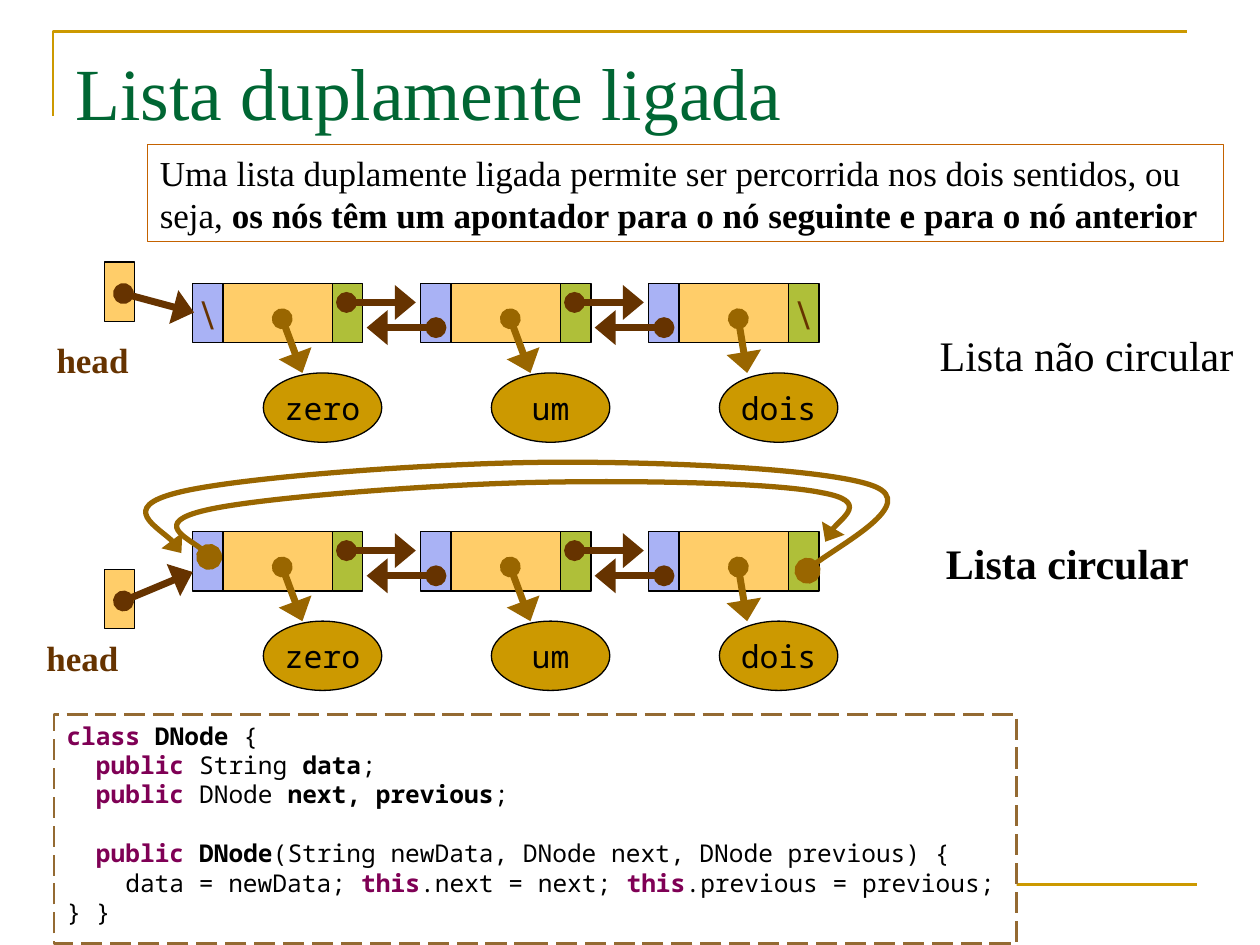
from pptx import Presentation
from pptx.dml.color import RGBColor
from pptx.enum.dml import MSO_LINE
from pptx.enum.shapes import MSO_CONNECTOR, MSO_SHAPE
from pptx.enum.text import MSO_ANCHOR, PP_ALIGN
from pptx.oxml.ns import qn
from pptx.util import Inches, Pt
from lxml.etree import SubElement

SERIF, MONO = "Times New Roman", "Noto Sans Mono"
BLACK, BROWN, OCHRE, GOLD = "000000", "663300", "996600", "CC9900"
AMBER, BLUE, GREEN, KEYWORD = "FFCD69", "A9B2F5", "AFBF39", "7F0055"
PITCH = 1.81


def rgb(color):
    """Turn a hex string into a colour."""
    return RGBColor.from_string(color)


def set_line(line, color, width, oval=None):
    """Format a line; an oval size makes it an arrow that starts with a dot."""
    line.color.rgb = rgb(color)
    line.width = Pt(width)
    if oval:
        ln = line._get_or_add_ln()
        SubElement(ln, qn("a:headEnd"), type="oval", w=oval, len=oval)
        SubElement(ln, qn("a:tailEnd"), type="triangle", w="lg", len="med")


def add_run(p, text, font=SERIF, size=20, color=BLACK, bold=False):
    """Append a formatted run to a paragraph."""
    r = p.add_run()
    r.text = text
    r.font.name, r.font.size, r.font.bold = font, Pt(size), bold
    r.font.color.rgb = rgb(color)


def add_box(s, x, y, w, h, fill=None, line=BLACK, width=0.75, kind=MSO_SHAPE.RECTANGLE):
    """Add a preset shape with top-left text and return it."""
    sp = s.shapes.add_shape(kind, Inches(x), Inches(y), Inches(w), Inches(h))
    sp.shadow.inherit = False
    if fill:
        sp.fill.solid()
        sp.fill.fore_color.rgb = rgb(fill)
    else:
        sp.fill.background()
    set_line(sp.line, line, width)
    sp.text_frame.word_wrap = True
    sp.text_frame.vertical_anchor = MSO_ANCHOR.TOP
    sp.text_frame.paragraphs[0].alignment = PP_ALIGN.LEFT
    return sp


def add_centred(sp, text, **fmt):
    """Write one centred line in a shape."""
    tf = sp.text_frame
    tf.word_wrap = False
    tf.vertical_anchor = MSO_ANCHOR.MIDDLE
    tf.paragraphs[0].alignment = PP_ALIGN.CENTER
    add_run(tf.paragraphs[0], text, **fmt)


def add_label(s, text, x, y, w, h, wrap=True, **fmt):
    """Add a text box with one formatted line."""
    tf = s.shapes.add_textbox(Inches(x), Inches(y), Inches(w), Inches(h)).text_frame
    tf.word_wrap = wrap
    add_run(tf.paragraphs[0], text, **fmt)


def add_line(s, start, end, color=BROWN, width=4, oval="med"):
    """Add a straight connector between two points."""
    ends = [Inches(v) for v in (*start, *end)]
    c = s.shapes.add_connector(MSO_CONNECTOR.STRAIGHT, *ends)
    set_line(c.line, color, width, oval)
    SubElement(c._element.spPr, qn("a:effectLst"))


def add_path(s, points, color, width, oval=None):
    """Add an open outline through the given points."""
    start, *rest = [(Inches(x), Inches(y)) for x, y in points]
    fb = s.shapes.build_freeform(*start)
    fb.add_line_segments(rest, close=False)
    sp = fb.convert_to_shape()
    sp.shadow.inherit = False
    sp.fill.background()
    set_line(sp.line, color, width, oval)
    return sp


def add_curve(s, points):
    """Add a curved arrow from a start point and triples of Bezier points."""
    sp = add_path(s, points, OCHRE, 3, oval="lg")
    segments = list(sp._element.iter(qn("a:lnTo")))
    outline = segments[0].getparent()
    for i in range(0, len(segments), 3):
        bezier = SubElement(outline, qn("a:cubicBezTo"))
        for segment in segments[i:i + 3]:
            bezier.append(segment[0])
            outline.remove(segment)


def add_list(s, top, head_top, head_from, head_to, label_at, ends=""):
    """Draw a head cell and three linked nodes."""
    add_box(s, 0.83, head_top, 0.24, 0.47, AMBER)
    add_label(s, "head", *label_at, 0.78, 0.44, wrap=False, color=BROWN, bold=True)
    words = ["zero", "um", "dois"]
    lefts = [1.53 + i * PITCH for i in range(len(words))]
    for x, word in zip(lefts, words):
        prev = add_box(s, x, top, 0.24, 0.47, BLUE)
        add_box(s, x + 0.24, top, 0.87, 0.47, AMBER)
        next_ = add_box(s, x + 1.11, top, 0.24, 0.47, GREEN)
        for cell, at_end in ((prev, x == lefts[0]), (next_, x == lefts[-1])):
            if ends and at_end:
                add_centred(cell, ends, size=24, color=BROWN, bold=True)
        oval = add_box(s, x + 0.56, top + 0.71, 0.94, 0.55, GOLD, kind=MSO_SHAPE.OVAL)
        add_centred(oval, word, font=MONO, size=18)
        tip = 0.78 if x == lefts[-1] else 0.87
        add_line(s, (x + 0.71, top + 0.28), (x + tip, top + 0.71), OCHRE)
    for x in lefts[:-1]:
        add_line(s, (x + 1.22, top + 0.15), (x + 1.77, top + 0.15))
        add_line(s, (x + 1.93, top + 0.35), (x + 1.38, top + 0.35))
    add_line(s, head_from, head_to)


def add_code(s):
    """Add the class listing in a dashed box."""
    box = add_box(s, 0.43, 5.67, 7.64, 1.82, "FFFFFF", "946A32", 1.5)
    box.line.dash_style = MSO_LINE.LONG_DASH
    key, bold = {"color": KEYWORD, "bold": True}, {"bold": True}
    lines = [
        (0, 0, [("class ", key), ("DNode", bold), (" {", {})]),
        (1, 0, [("public ", key), ("String ", {}), ("data", bold), (";", {})]),
        (1, 0, [("public ", key), ("DNode ", {}), ("next, previous", bold), (";", {})]),
        (1, 16.8, [("public ", key), ("DNode", bold),
                   ("(String newData, DNode next, DNode previous) {", {})]),
        (2, 0, [("data = newData; ", {}), ("this", key), (".next = next; ", {}),
                ("this", key), (".previous = previous;", {})]),
        (0, 0, [("} }", {})]),
    ]
    tf = box.text_frame
    for i, (depth, gap, runs) in enumerate(lines):
        p = tf.add_paragraph() if i else tf.paragraphs[0]
        p.alignment = PP_ALIGN.LEFT
        p.space_before = Pt(gap)
        p._p.get_or_add_pPr().set("marL", str(Pt(16.8 * depth)))
        for text, fmt in runs:
            add_run(p, text, font=MONO, size=14, **fmt)


def add_title(s, text):
    """Place and format the title."""
    sp = s.shapes.title
    sp.left, sp.top, sp.width, sp.height = (Inches(v) for v in (0.5, 0.3, 9, 0.85))
    tf = sp.text_frame
    tf.vertical_anchor = MSO_ANCHOR.MIDDLE
    p = tf.paragraphs[0]
    p.alignment = PP_ALIGN.LEFT
    add_run(p, text, size=42, color="006633")


def main():
    """Build the slide and save it."""
    prs = Presentation()
    prs.slide_width, prs.slide_height = Inches(10), Inches(7.5)
    s = prs.slides.add_slide(prs.slide_layouts[5])
    add_line(s, (0.5, 7.02), (9.5, 7.02), GOLD, 1.5, oval=None)
    add_path(s, [(0.42, 0.92), (0.42, 0.25), (9.42, 0.25)], GOLD, 1.5)
    add_title(s, "Lista duplamente ligada")
    p = add_box(s, 1.17, 1.15, 8.54, 0.77, line="C46200").text_frame.paragraphs[0]
    add_run(p, "Uma lista duplamente ligada permite ser percorrida nos dois sentidos, ou seja, ")
    add_run(p, "os nós têm um apontador para o nó seguinte e para o nó anterior", bold=True)
    add_list(s, 2.25, 2.08, (0.98, 2.33), (1.54, 2.48), (0.35, 2.64), ends="\\")
    add_list(s, 4.22, 4.52, (0.98, 4.77), (1.53, 4.54), (0.27, 5))
    add_curve(s, [(1.66, 4.42), (1.65, 4.36), (1.2, 4.15), (1.63, 4.05),
                  (2.05, 3.95), (3.39, 3.85), (4.2, 3.83), (5.02, 3.81), (6.13, 3.83),
                  (6.52, 3.91), (6.91, 3.98), (6.54, 4.22), (6.55, 4.3)])
    add_curve(s, [(6.41, 4.53), (6.49, 4.42), (7.29, 4), (6.94, 3.86),
                  (6.59, 3.72), (5.22, 3.66), (4.3, 3.67), (3.38, 3.68), (1.88, 3.79),
                  (1.41, 3.91), (0.93, 4.03), (1.43, 4.29), (1.44, 4.39)])
    add_label(s, "Lista circular", 7.41, 4.22, 2.23, 0.5, size=24, bold=True)
    add_label(s, "Lista não circular", 7.36, 2.57, 2.6, 0.5, size=24)
    add_code(s)
    prs.save("out.pptx")


if __name__ == "__main__":
    main()
